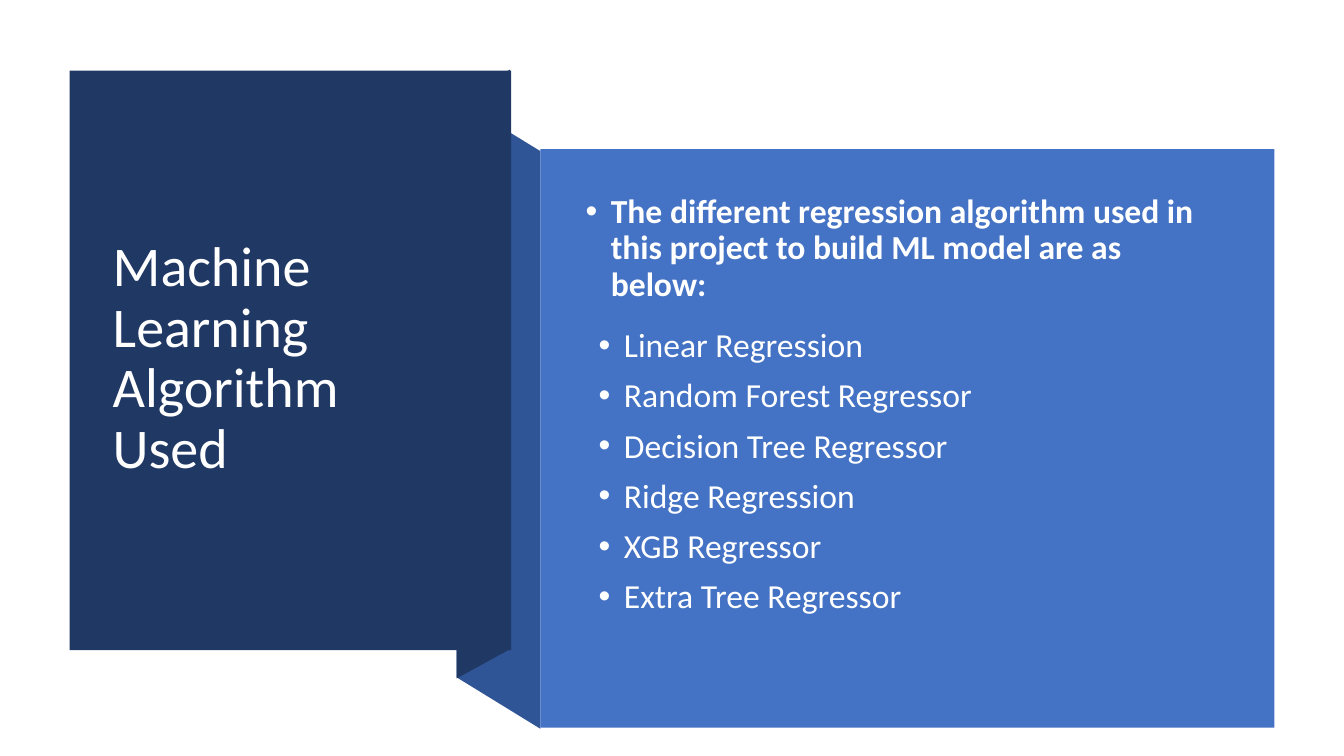
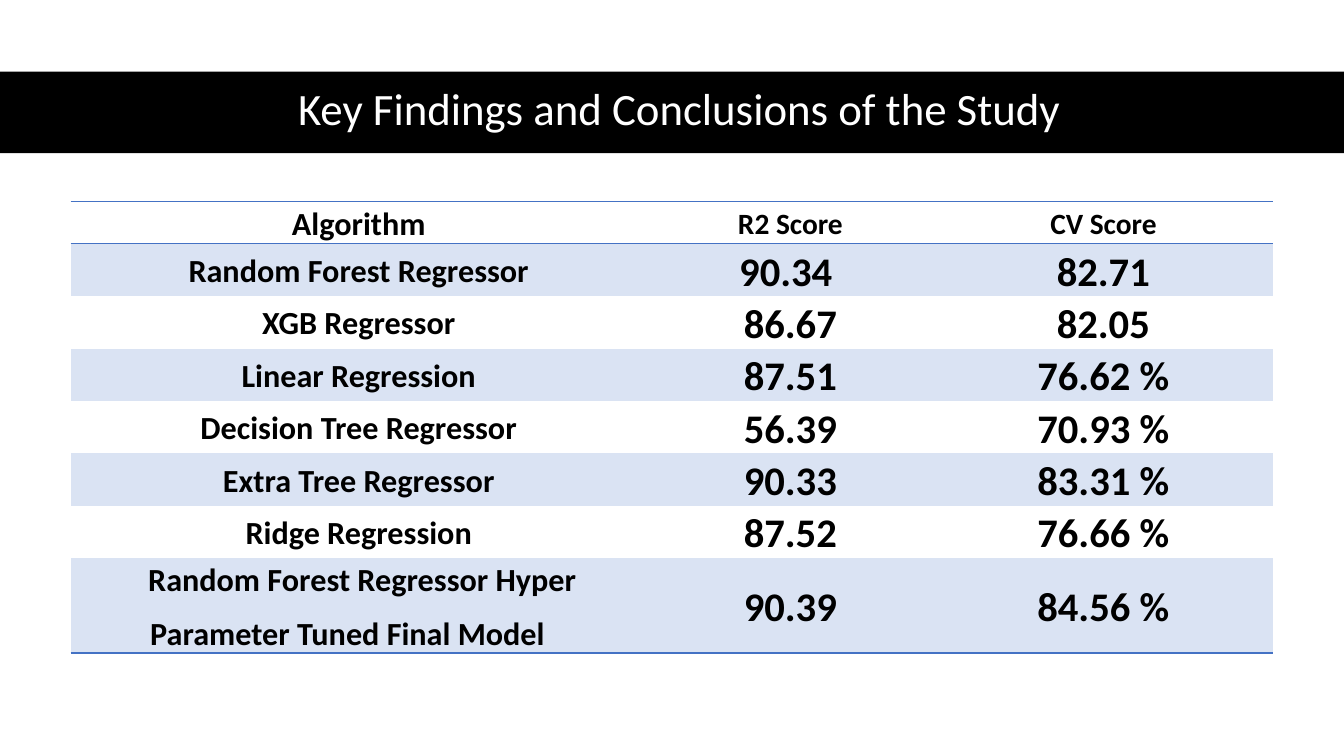
from lxml import etree
from pptx import Presentation
from pptx.dml.color import RGBColor
from pptx.enum.shapes import MSO_SHAPE
from pptx.enum.text import MSO_ANCHOR, PP_ALIGN
from pptx.oxml.ns import qn
from pptx.util import Inches, Pt

RECT = MSO_SHAPE.RECTANGLE
TOP, MIDDLE = MSO_ANCHOR.TOP, MSO_ANCHOR.MIDDLE
LEFT, CENTER = PP_ALIGN.LEFT, PP_ALIGN.CENTER
WHITE = RGBColor(0xFF, 0xFF, 0xFF)
BLACK = RGBColor(0, 0, 0)
NAVY = RGBColor(0x20, 0x38, 0x64)
FOLD = RGBColor(0x2F, 0x55, 0x97)
BLUE = RGBColor(0x44, 0x72, 0xC4)
PALE = RGBColor(0xDA, 0xE3, 0xF3)
FONT = "Calibri"
PLAIN = "{2D5ABB26-0587-4C30-8999-92F81FD0307C}"

LEAD = "The different regression algorithm used in this project to build ML model are as below:"
MODELS = ["Linear Regression", "Random Forest Regressor", "Decision Tree Regressor",
          "Ridge Regression", "XGB Regressor", "Extra Tree Regressor"]
SCORES = [
    ("Algorithm", "R2 Score", "CV Score"),
    ("Random Forest Regressor", "90.34 ", "82.71"),
    ("XGB Regressor", "86.67", "82.05"),
    ("Linear Regression", "87.51", "76.62 %"),
    ("Decision Tree Regressor", "56.39", "70.93 %"),
    ("Extra Tree Regressor", "90.33", "83.31 %"),
    ("Ridge Regression", "87.52", "76.66 %"),
    (" Random Forest Regressor Hyper\nParameter Tuned Final Model", "90.39", "84.56 %"),
]
WIDTHS = [5.72, 2.84, 3.37]
HEIGHTS = [0.42] + [0.52] * 6 + [0.94]


def paint(shape, color):
    """Give a shape a flat fill without line or shadow."""
    shape.shadow.inherit = False
    shape.fill.solid()
    shape.fill.fore_color.rgb = color
    shape.line.fill.background()


def block(slide, left, top, width, height, color):
    """Draw a flat rectangle."""
    box = [Inches(v) for v in (left, top, width, height)]
    paint(slide.shapes.add_shape(RECT, *box), color)


def facet(slide, left, top, points, color):
    """Draw a flat polygon from points relative to its corner."""
    spots = [(Inches(left + x), Inches(top + y)) for x, y in points]
    form = slide.shapes.build_freeform(*spots[0])
    form.add_line_segments(spots[1:], close=True)
    paint(form.convert_to_shape(), color)


def style(para, size, color, bold=False, align=LEFT, line=0.9, before=0, after=0):
    """Set the font and spacing of a paragraph."""
    font = para.font
    font.name, font.size, font.bold = FONT, Pt(size), bold
    font.color.rgb = color
    para.alignment, para.line_spacing = align, line
    para.space_before, para.space_after = Pt(before), Pt(after)


def frame(slide, left, top, width, height, anchor):
    """Add a wrapping text box and return its text frame."""
    box = [Inches(v) for v in (left, top, width, height)]
    text = slide.shapes.add_textbox(*box).text_frame
    text.word_wrap, text.vertical_anchor = True, anchor
    return text


def title(slide, left, top, width, height, words, size, align):
    """Place a white slide title."""
    para = frame(slide, left, top, width, height, MIDDLE).paragraphs[0]
    para.text = words
    style(para, size, WHITE, align=align, after=6)


def bullet(para, indent):
    """Give a paragraph a hanging round bullet."""
    props = para._p.get_or_add_pPr()
    props.set("marL", str(Inches(indent)))
    props.set("indent", str(Inches(-0.25)))
    etree.SubElement(props, qn("a:buFont"), typeface="Arial")
    etree.SubElement(props, qn("a:buChar"), char="•")


def ribbon(slide, left, top):
    """Draw the folded band with the title on its front panel."""
    facet(slide, left + 3.84, top + 0.29,
          [(0.83, 6.24), (0, 5.73), (0, 0), (0.83, 0.51)], FOLD)
    facet(slide, left + 3.84, top - 0.01,
          [(0.53, 5.75), (0, 6.04), (0, 0.29), (0.53, 0)], NAVY)
    block(slide, left, top, 4.38, 5.75, NAVY)
    title(slide, left + 0.33, top + 0.37, 3.6, 4.99,
          "Machine Learning Algorithm Used", 40, LEFT)


def panel(slide, left, top):
    """Place the blue panel with the list of models."""
    block(slide, left, top, 7.28, 5.74, BLUE)
    text = frame(slide, left + 0.35, top + 0.4, 6.51, 4.74, TOP)
    lead = text.paragraphs[0]
    lead.text = LEAD
    style(lead, 24, WHITE, bold=True, after=8)
    bullet(lead, 0.25)
    for name in MODELS:
        para = text.add_paragraph()
        para.text = name
        style(para, 24, WHITE, before=10)
        bullet(para, 0.38)


def rule(cell, tag):
    """Draw a thin blue border on one side of a cell."""
    props = cell._tc.get_or_add_tcPr()
    line = etree.Element(qn(tag), w=str(Pt(1)))
    fill = etree.SubElement(line, qn("a:solidFill"))
    etree.SubElement(fill, qn("a:srgbClr"), val=str(BLUE))
    props.insert(0, line)


def fill_cell(cell, words, size, shade):
    """Write and colour one table cell."""
    cell.text = words
    cell.vertical_anchor = MIDDLE
    cell.margin_left = cell.margin_right = Inches(0.08)
    cell.margin_top = cell.margin_bottom = 0
    if shade:
        cell.fill.solid()
        cell.fill.fore_color.rgb = PALE
    else:
        cell.fill.background()
    for para in cell.text_frame.paragraphs:
        style(para, size, BLACK, bold=True, align=CENTER, line=1.07, after=8)


def grid(slide, left, top):
    """Place the table of model scores."""
    last = len(SCORES) - 1
    box = [Inches(v) for v in (left, top, sum(WIDTHS), sum(HEIGHTS))]
    table = slide.shapes.add_table(len(SCORES), len(WIDTHS), *box).table
    table._tbl.tblPr.find(qn("a:tableStyleId")).text = PLAIN
    for col, width in zip(table.columns, WIDTHS):
        col.width = Inches(width)
    for r, (row, height) in enumerate(zip(SCORES, HEIGHTS)):
        table.rows[r].height = Inches(height)
        for c, words in enumerate(row):
            cell = table.cell(r, c)
            size = 23 if c == 0 else 29 if r else 21
            fill_cell(cell, words, size, r % 2 == 1)
            if r in (0, last):
                rule(cell, "a:lnB")
            if r == 0:
                rule(cell, "a:lnT")
    tail = table.cell(last, 0).text_frame.paragraphs[1]
    tail.alignment = LEFT
    tail._p.get_or_add_pPr().set("marL", str(Inches(0.71)))


def banner(slide, top):
    """Place the black title band across the slide."""
    block(slide, 0, top, 13.33, 0.81, BLACK)
    title(slide, 0.61, top - 0.01, 12.26, 0.81,
          "Key Findings and Conclusions of the Study", 32, CENTER)


def main():
    """Build both slides and save the deck."""
    deck = Presentation()
    deck.slide_width, deck.slide_height = Inches(13.33), Inches(7.5)
    blank = deck.slide_layouts[6]
    models = deck.slides.add_slide(blank)
    ribbon(models, 0.69, 0.7)
    panel(models, 5.36, 1.48)
    scores = deck.slides.add_slide(blank)
    banner(scores, 0.71)
    grid(scores, 0.7, 2)
    deck.save("out.pptx")


if __name__ == "__main__":
    main()
